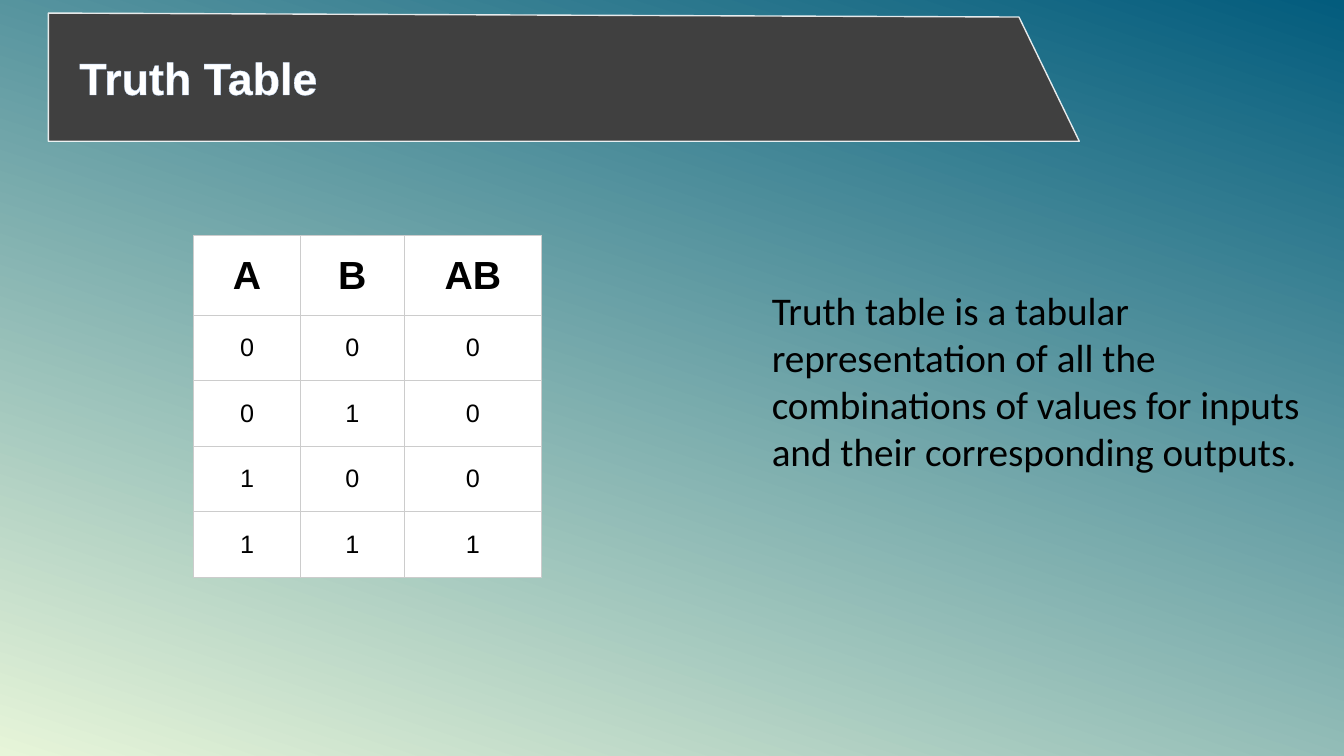
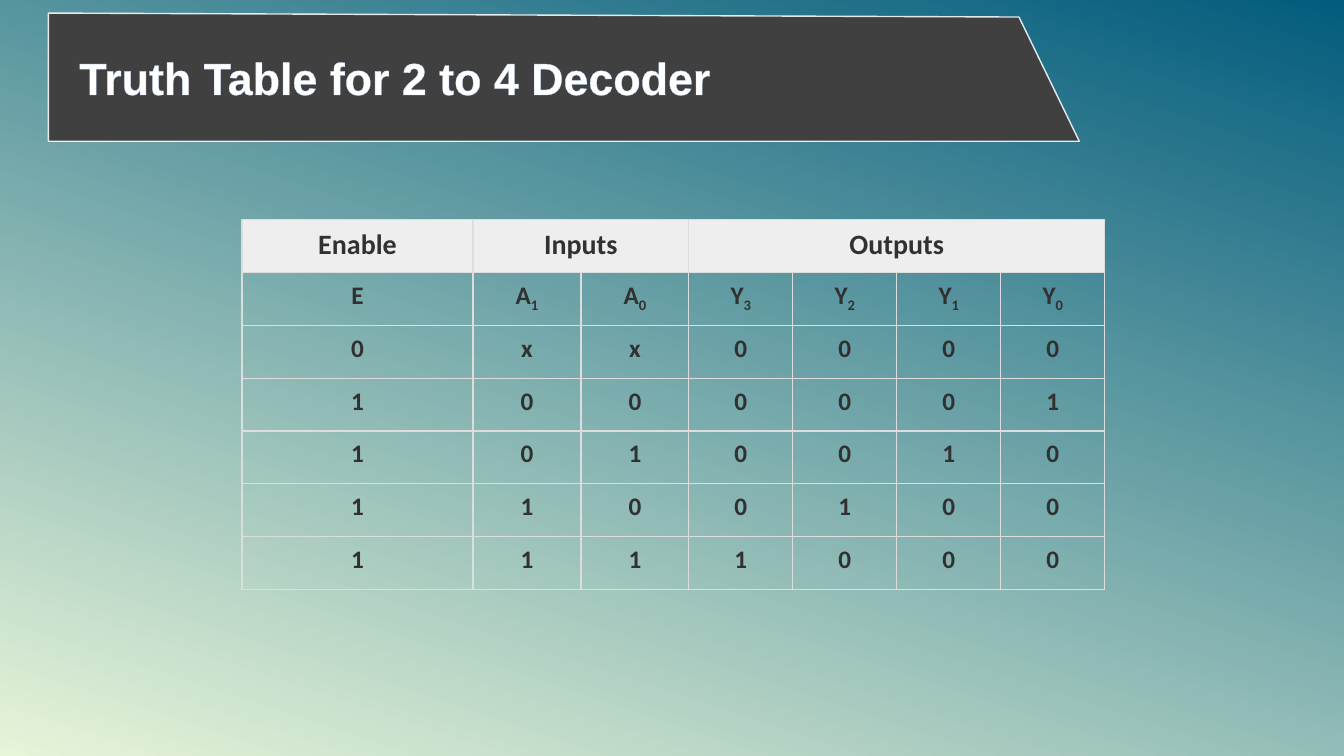
import dataclasses

import lxml.etree
import pptx
import pptx.dml.color
import pptx.enum.text
import pptx.oxml
import pptx.oxml.ns
import pptx.util
from pptx.util import Cm


@dataclasses.dataclass(frozen=True)
class Theme:
    """Colours, fonts and type sizes shared by the slides."""

    gradient_start: str = "E7F5D9"
    gradient_end: str = "035C7D"
    gradient_angle: int = 72
    band: str = "404040"
    white: str = "FFFFFF"
    black: str = "000000"
    title_outline: str = "C0D7F5"
    heading_font: str = "Arial"
    body_font: str = "Calibri"
    title_size: int = 32
    body_size: int = 28
    cell_size: int = 18


@dataclasses.dataclass(frozen=True)
class TableStyle:
    """Look of one truth table."""

    font: str
    color: str
    border: str
    header_fill: str
    header_size: int
    body_fill: str | None
    body_bold: bool
    margin: float
    anchor: pptx.enum.text.MSO_ANCHOR


THEME = Theme()
GATE_STYLE = TableStyle(
    THEME.heading_font, THEME.black, "CCCCCC", THEME.white, 28,
    THEME.white, False, 0.41, pptx.enum.text.MSO_ANCHOR.MIDDLE,
)
DECODER_STYLE = TableStyle(
    THEME.body_font, "313131", "DDDDDD", "EEEEEE", 20,
    None, True, 0.2, pptx.enum.text.MSO_ANCHOR.TOP,
)


def rgb(value):
    """Turn a hex string into a colour."""
    return pptx.dml.color.RGBColor.from_string(value)


def line_element(tag, color, points):
    """Build a solid line element for cell borders and text outlines."""
    line = lxml.etree.Element(pptx.oxml.ns.qn(tag), w=str(pptx.util.Pt(points)))
    fill = lxml.etree.SubElement(line, pptx.oxml.ns.qn("a:solidFill"))
    lxml.etree.SubElement(fill, pptx.oxml.ns.qn("a:srgbClr"), val=color)
    return line


def format_runs(paragraph, font_name, size, color, bold=False):
    """Give every run of a paragraph the same font."""
    for run in paragraph.runs:
        run.font.name = font_name
        run.font.size = pptx.util.Pt(size)
        run.font.bold = bold
        run.font.color.rgb = rgb(color)


def set_background(presentation):
    """Give the slide master its diagonal gradient."""
    fill = presentation.slide_master.background.fill
    fill.gradient()
    fill.gradient_angle = THEME.gradient_angle
    for stop, color in zip(fill.gradient_stops, (THEME.gradient_start, THEME.gradient_end)):
        stop.color.rgb = rgb(color)


def add_text(slide, box, text, font_name, size, color, bold=False):
    """Place wrapped text in a box and return its paragraph."""
    shape = slide.shapes.add_textbox(*map(Cm, box))
    frame = shape.text_frame
    frame.word_wrap = True
    frame.auto_size = pptx.enum.text.MSO_AUTO_SIZE.SHAPE_TO_FIT_TEXT
    frame.text = text
    format_runs(frame.paragraphs[0], font_name, size, color, bold)
    return frame.paragraphs[0]


def add_title_band(slide, box, title):
    """Draw the slanted title band in a box with the title on it."""
    left, top, width, height = box
    right, bottom = left + width, top + height
    corners = [(right - 1.52, top + 0.1), (right, bottom), (left, bottom)]
    builder = slide.shapes.build_freeform(Cm(left), Cm(top))
    builder.add_line_segments([(Cm(x), Cm(y)) for x, y in corners], close=True)
    band = builder.convert_to_shape()
    band.shadow.inherit = False
    band.fill.solid()
    band.fill.fore_color.rgb = rgb(THEME.band)
    band.line.color.rgb = rgb(THEME.white)
    band.line.width = pptx.util.Pt(1)
    line_color = band.line._get_or_add_ln().find(".//" + pptx.oxml.ns.qn("a:srgbClr"))
    lxml.etree.SubElement(line_color, pptx.oxml.ns.qn("a:alpha"), val="88000")

    title_box = (left + 0.53, top + 0.81, width - 1.06, 1.63)
    paragraph = add_text(
        slide, title_box, title, THEME.heading_font, THEME.title_size, THEME.white, True
    )
    properties = paragraph.runs[0]._r.get_or_add_rPr()
    properties.insert(0, line_element("a:ln", THEME.title_outline, 0.8))


def fill_cell(cell, text, style, is_header):
    """Write and format one cell; an underscore starts a subscript."""
    cell.margin_left = cell.margin_right = Cm(style.margin)
    cell.margin_top = cell.margin_bottom = Cm(style.margin)
    cell.vertical_anchor = style.anchor
    fill_color = style.header_fill if is_header else style.body_fill
    if fill_color:
        cell.fill.solid()
        cell.fill.fore_color.rgb = rgb(fill_color)
    else:
        cell.fill.background()
    properties = cell._tc.get_or_add_tcPr()
    for index, side in enumerate("LRTB"):
        properties.insert(index, line_element(f"a:ln{side}", style.border, 1))

    base, _, subscript = text.partition("_")
    paragraph = cell.text_frame.paragraphs[0]
    paragraph.text = base
    paragraph.alignment = pptx.enum.text.PP_ALIGN.CENTER
    if subscript:
        run = paragraph.add_run()
        run.text = subscript
        run._r.get_or_add_rPr().set("baseline", "-25000")
    size = style.header_size if is_header else THEME.cell_size
    format_runs(paragraph, style.font, size, style.color, is_header or style.body_bold)


def add_truth_table(slide, position, column_widths, row_height, rows, style, header_spans=()):
    """Place a truth table at a position, merging header cells by column span."""
    left, top = position
    table = slide.shapes.add_table(
        len(rows), len(column_widths), Cm(left), Cm(top),
        Cm(sum(column_widths)), Cm(row_height * len(rows)),
    ).table
    table.first_row = table.horz_banding = False
    for column, width in zip(table.columns, column_widths):
        column.width = Cm(width)
    for row_index, texts in enumerate(rows):
        table.rows[row_index].height = Cm(row_height)
        for column_index, text in enumerate(texts):
            fill_cell(table.cell(row_index, column_index), text, style, row_index == 0)
    for first, last in header_spans:
        table.cell(0, first).merge(table.cell(0, last))


def add_titled_slide(presentation, title):
    """Add a blank slide with the title band."""
    slide = presentation.slides.add_slide(presentation.slide_layouts[6])
    add_title_band(slide, (1.22, 0.33, 25.98, 3.23), title)
    return slide


def add_gate_slide(presentation):
    """Add the slide that explains truth tables."""
    slide = add_titled_slide(presentation, "Truth Table")
    add_text(
        slide, (19.2, 7.09, 14.12, 6.25),
        "Truth table is a tabular representation of all the combinations of values "
        "for inputs and their corresponding outputs.",
        THEME.body_font, THEME.body_size, THEME.black,
    )
    rows = [line.split() for line in ("A B AB", "0 0 0", "0 1 0", "1 0 0", "1 1 1")]
    add_truth_table(slide, (4.88, 5.94), [2.69, 2.62, 3.45], 1.65, rows, GATE_STYLE)


def add_decoder_slide(presentation):
    """Add the slide with the decoder's truth table."""
    slide = add_titled_slide(presentation, "Truth Table for 2 to 4 Decoder")
    lines = (
        "E A_1 A_0 Y_3 Y_2 Y_1 Y_0",
        "0 x x 0 0 0 0",
        "1 0 0 0 0 0 1",
        "1 0 1 0 0 1 0",
        "1 1 0 0 1 0 0",
        "1 1 1 1 0 0 0",
    )
    header = ["Enable", "Inputs", "", "Outputs", "", "", ""]
    rows = [header] + [line.split() for line in lines]
    widths = [5.82] + [2.72] * 2 + [2.62] * 4
    add_truth_table(
        slide, (6.1, 5.54), widths, 1.33, rows, DECODER_STYLE, [(1, 2), (3, 6)]
    )


def main():
    """Build and save the presentation."""
    presentation = pptx.Presentation()
    presentation.slide_width = Cm(33.87)
    presentation.slide_height = Cm(19.05)
    set_background(presentation)
    add_gate_slide(presentation)
    add_decoder_slide(presentation)
    presentation.save("out.pptx")


if __name__ == "__main__":
    main()
